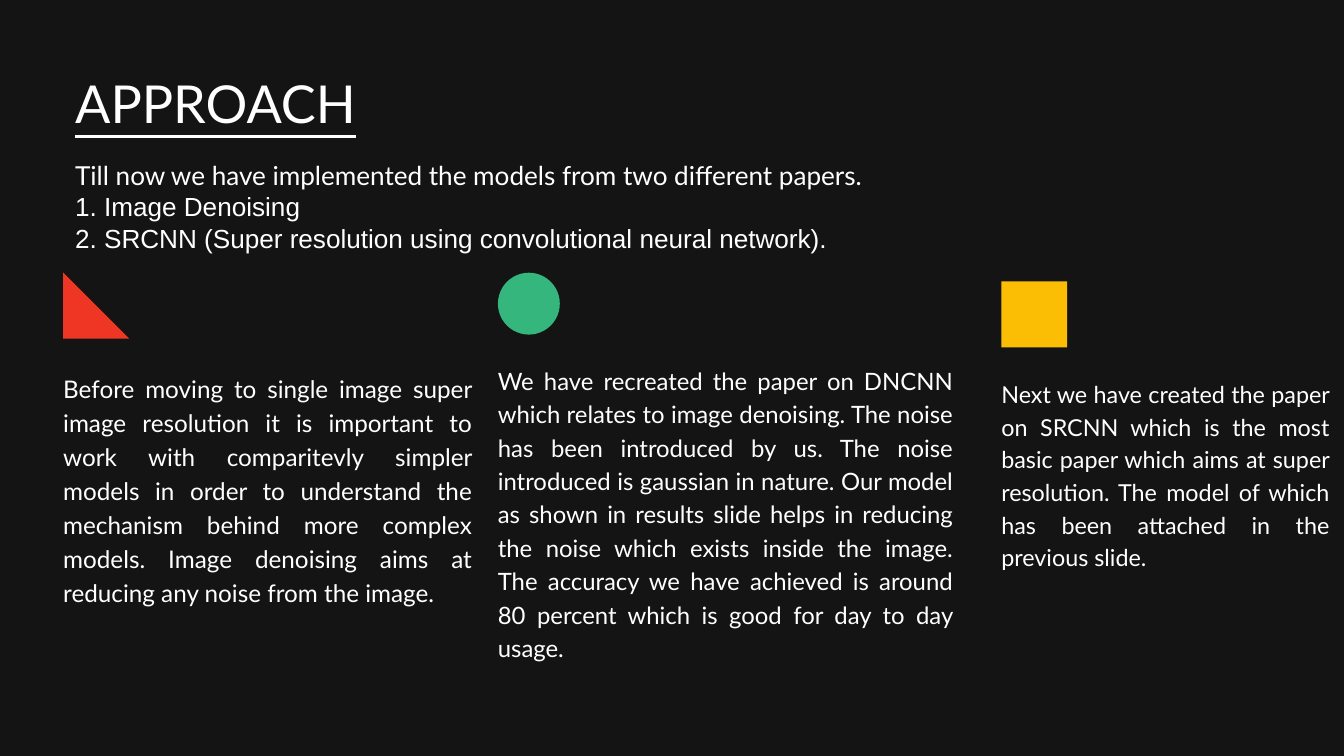
"""Build the Approach slide: a heading, an introduction and three marked columns."""
from pptx import Presentation
from pptx.dml.color import RGBColor
from pptx.enum.shapes import MSO_SHAPE
from pptx.enum.text import MSO_ANCHOR, PP_ALIGN
from pptx.util import Cm, Pt

BLACK = RGBColor(0x14, 0x14, 0x14)
WHITE = RGBColor(0xFF, 0xFF, 0xFF)
RED = RGBColor(0xEF, 0x36, 0x25)
GREEN = RGBColor(0x34, 0xB6, 0x7C)
YELLOW = RGBColor(0xFC, 0xBE, 0x04)


def add_text(page, left, top, width, height, lines, size, spacing, align=PP_ALIGN.JUSTIFY):
    box = page.shapes.add_textbox(Cm(left), Cm(top), Cm(width), Cm(height))
    frame = box.text_frame
    frame.word_wrap = True
    frame.vertical_anchor = MSO_ANCHOR.TOP
    frame.margin_left = frame.margin_top = frame.margin_right = frame.margin_bottom = 0
    for index, (text, font) in enumerate(lines):
        para = frame.add_paragraph() if index else frame.paragraphs[0]
        para.alignment = align
        para.line_spacing = Pt(spacing)
        span = para.add_run()
        span.text = text
        span.font.name = font
        span.font.size = Pt(size)
        span.font.color.rgb = WHITE
    return box


deck = Presentation()
deck.slide_width = Cm(50.8)
deck.slide_height = Cm(28.58)
page = deck.slides.add_slide(deck.slide_layouts[6])
page.background.fill.solid()
page.background.fill.fore_color.rgb = BLACK

title = add_text(page, 2.84, 2.49, 22.56, 2.54, [("APPROACH", "Lato")], 56, 72.8, PP_ALIGN.LEFT)
title.text_frame.paragraphs[0].runs[0].font.underline = True

columns = [
    (MSO_SHAPE.RIGHT_TRIANGLE, RED, 2.39, 10.31, 2.49, 13.97, 15.47, 10.08, 26, 36.4,
     "Before moving to single image super image resolution it is important to work with "
     "comparitevly simpler models in order to understand the mechanism behind more complex "
     "models. Image denoising aims at reducing any noise from the image."),
    (MSO_SHAPE.OVAL, GREEN, 18.82, 10.31, 2.34, 13.67, 17.2, 12.34, 25.6, 35.8,
     "We have recreated the paper on DNCNN which relates to image denoising. The noise has "
     "been introduced by us. The noise introduced is gaussian in nature. Our model as shown "
     "in results slide helps in reducing the noise which exists inside the image. The accuracy "
     "we have achieved is around 80 percent which is good for day to day usage."),
    (MSO_SHAPE.RECTANGLE, YELLOW, 37.85, 10.64, 2.49, 14.2, 12.4, 8.43, 25, 35,
     "Next we have created the paper on SRCNN which is the most basic paper which aims at "
     "super resolution. The model of which has been attached in the previous slide."),
]
for kind, color, left, marker_top, side, top, width, height, size, spacing, text in columns:
    marker = page.shapes.add_shape(kind, Cm(left), Cm(marker_top), Cm(side), Cm(side))
    marker.shadow.inherit = False
    marker.fill.solid()
    marker.fill.fore_color.rgb = color
    marker.line.fill.background()
    add_text(page, left, top, width, height, [(text, "Lato")], size, spacing)

introduction = [
    ("Till now we have implemented the models from two different papers.", "Lato"),
    ("1. Image Denoising", "Arial"),
    ("2. SRCNN (Super resolution using convolutional neural network).", "Arial"),
]
add_text(page, 2.84, 6.02, 35, 4.62, introduction, 28, 33.6)

deck.save("out.pptx")
